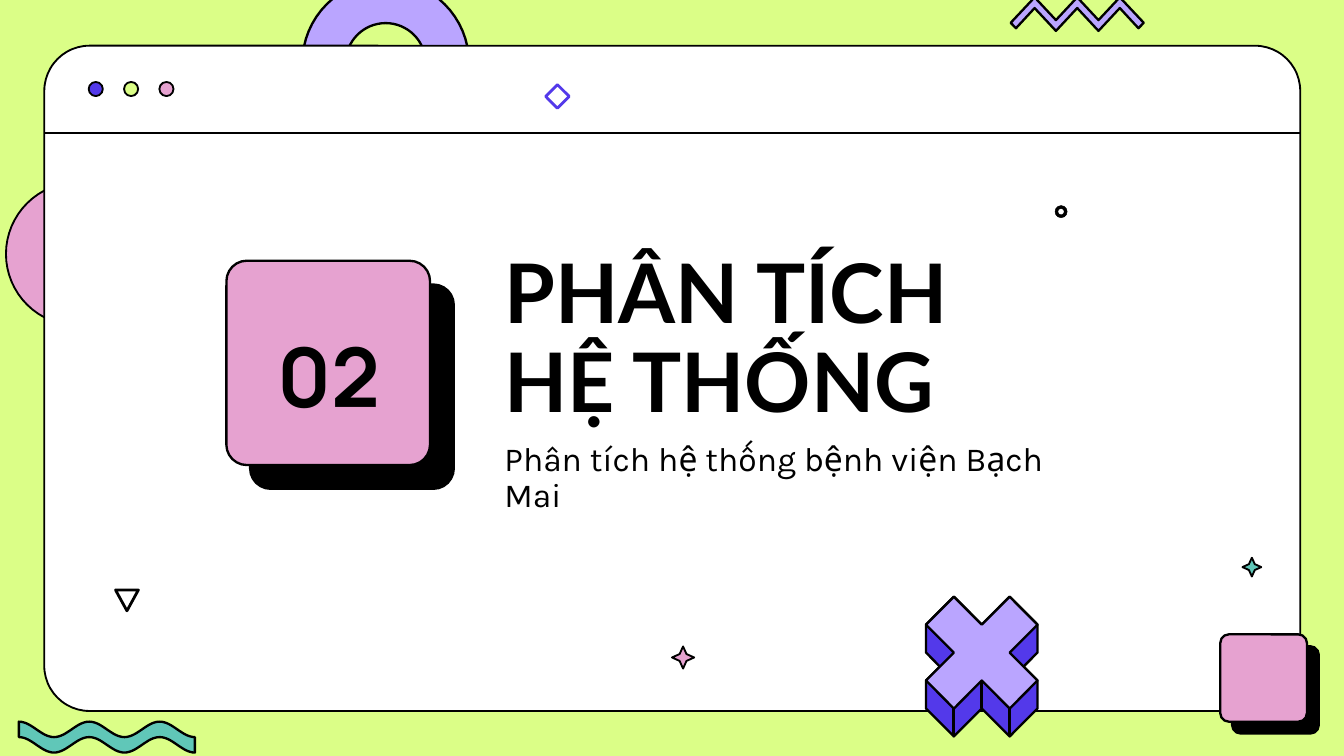
import math
from lxml import etree
from pptx import Presentation
from pptx.dml.color import RGBColor
from pptx.enum import shapes, text
from pptx.oxml import ns
from pptx.util import Inches, Pt

# The slide is a grid of square cells: 100 columns by 56.25 rows
W, H = Inches(10), Inches(5.625)
CELL = W / 100
COLORS = {
    "lime": "DBFE87", "lilac": "BAA5FF", "violet": "5339EA", "pink": "E6A2D0",
    "teal": "60C7B8", "black": "000000", "white": "FFFFFF",
}
KIND = shapes.MSO_SHAPE


def rgb(name):
    return RGBColor.from_string(COLORS[name])


def emu(*cells):
    return [round(c * CELL) for c in cells]


def within(box, x, y, w, h):
    return box[0] + x, box[1] + y, w, h


def arc(cx, cy, rx, ry, start, end, steps=32):
    angles = [math.radians(start + (end - start) * i / steps) for i in range(steps + 1)]
    return [(cx + rx * math.cos(a), cy + ry * math.sin(a)) for a in angles]


def paint(sp, fill, line="black", width=1.25):
    sp.shadow.inherit = False
    sp.fill.solid()
    sp.fill.fore_color.rgb = rgb(fill)
    sp.line.color.rgb = rgb(line)
    sp.line.width = Pt(width)
    return sp


def preset(s, kind, box, fill, line="black", width=1, adj=None):
    sp = s.shapes.add_shape(kind, *emu(*box))
    if adj is not None:
        sp.adjustments[0] = adj
    return paint(sp, fill, line, width)


def outline(s, box, points, fill, width=1.25):
    """Closed outline whose points are shares of the box."""
    x, y, w, h = box
    pts = [emu(x + px * w, y + py * h) for px, py in points]
    fb = s.shapes.build_freeform(*pts[0])
    fb.add_line_segments(pts[1:], close=True)
    return paint(fb.convert_to_shape(), fill, width=width)


def segment(s, x1, y1, x2, y2, width=1):
    c = s.shapes.add_connector(shapes.MSO_CONNECTOR.STRAIGHT, *emu(x1, y1, x2, y2))
    c.line.color.rgb = rgb("black")
    c.line.width = Pt(width)
    etree.SubElement(c._element.spPr, ns.qn("a:effectLst"))


def label(s, box, words, anchor, para, font):
    tf = s.shapes.add_textbox(*emu(*box)).text_frame
    tf.word_wrap = True
    tf.vertical_anchor = anchor
    tf.margin_top = tf.margin_bottom = Inches(0.1)
    p = tf.paragraphs[0]
    p.text = words
    for key, value in para.items():
        setattr(p, key, value)
    for r in p.runs:
        for key, value in font.items():
            setattr(r.font, key, value)
        r.font.color.rgb = rgb("black")


def tile(s, box, distance):
    """Pink rounded square with a hard diagonal shadow."""
    sp = preset(s, KIND.ROUNDED_RECTANGLE, box, "pink", width=1.25, adj=0.1)
    effects = sp._element.spPr.find(ns.qn("a:effectLst"))
    shadow = etree.SubElement(effects, ns.qn("a:outerShdw"), blurRad="0",
                              dist=str(Pt(distance)), dir="2700000",
                              algn="bl", rotWithShape="0")
    etree.SubElement(shadow, ns.qn("a:srgbClr"), val=COLORS["black"])


def ring(s, box):
    points = (arc(.5, .5, .5, .5, 180, 360) + arc(.87, .5, .13, .13, 0, 180)
              + arc(.5, .5, .24, .24, 360, 180) + arc(.13, .5, .13, .13, 0, 180))
    outline(s, box, points, "lilac")


def half_disc(s, box):
    outline(s, box, arc(1, .5, 1, .5, 90, 270), "pink", 1)


def window(s, box):
    x, y, w, h = box
    preset(s, KIND.ROUNDED_RECTANGLE, box, "white", adj=0.068)
    segment(s, x, y + 6.5, x + w, y + 6.5)
    # Title bar buttons
    for i, fill in enumerate(("violet", "lime", "pink")):
        preset(s, KIND.OVAL, within(box, 3.3 + 2.63 * i, 2.7, 1.05, 1.05), fill)


def heading(s, box):
    # Section number
    tile(s, within(box, 0, .9, 15.15, 15.2), 18)
    body = {"line_spacing": 0.9, "space_before": Pt(7.5)}
    label(s, within(box, .1, 5.9, 15.1, 7.9), "02", text.MSO_ANCHOR.MIDDLE,
          {**body, "alignment": text.PP_ALIGN.CENTER},
          {"name": "Manrope", "size": Pt(44), "bold": True})
    # Title and subtitle
    label(s, within(box, 19.7, 0, 43.3, 14.5), "PHÂN TÍCH\vHỆ THỐNG",
          text.MSO_ANCHOR.BOTTOM, {"line_spacing": 0.9},
          {"name": "Lato", "size": Pt(44), "bold": True})
    label(s, within(box, 19.7, 13.4, 43.3, 4.7), "Phân tích hệ thống bệnh viện Bạch Mai",
          text.MSO_ANCHOR.TOP, body, {"name": "Karla", "size": Pt(18)})


def small_marks(s, box):
    for kind, at, fill, line, width, adj in (
            (KIND.STAR_4_POINT, (50, 48.1, 1.65, 1.65), "pink", "black", 1, .22),
            (KIND.STAR_4_POINT, (92.45, 41.5, 1.4, 1.4), "teal", "black", 1, .22),
            (KIND.FLOWCHART_MERGE, (8.6, 43.9, 1.7, 1.55), "white", "black", 1.5, None),
            (KIND.DIAMOND, (40.6, 6.3, 1.75, 1.75), "white", "violet", 1.5, None),
            (KIND.DONUT, (78.5, 15.3, .9, .9), "black", "black", .25, .24)):
        preset(s, kind, within(box, *at), fill, line, width, adj)


def solid_cross(s, box):
    """Extruded cross on its own grid of 4 columns and 5 rows."""
    x, y, w, h = box
    front = [(3, 0), (4, 1), (3, 2), (4, 3), (3, 4), (2, 3),
             (1, 4), (0, 3), (1, 2), (0, 1), (1, 0), (2, 1)]
    right = [(3, 0), (4, 1), (4, 2), (3.5, 2.5), (4, 3), (4, 4), (3, 5)]
    body = right + [(2, 4)] + [(4 - c, r) for c, r in reversed(right)] + [(2, 1)]
    for points, fill in ((body, "violet"), (front, "lilac")):
        outline(s, box, [(c / 4, r / 5) for c, r in points], fill)
    for col, row in ((1, 4), (2, 3), (3, 4)):
        cx = x + w * col / 4
        segment(s, cx, y + h * row / 5, cx, y + h * (row + 1) / 5, 1.5)


def wave(s, box, periods=2.5, steps=80):
    crest = [(i / steps, .25 - .25 * math.cos(2 * math.pi * periods * i / steps))
             for i in range(steps + 1)]
    outline(s, box, crest + [(px, py + .5) for px, py in reversed(crest)], "teal")


def zigzag(s, box):
    left = [(.5, .68), (.34, 0), (.18, 0)]
    left = [(.5, .68), (.343, 0), (.18, .0)]
    top = [(0, .76), (.18, 0), (.34, .68), (.5, 0), (.66, .68), (.82, 0), (1, .76)]
    bottom = [(.96, .92), (.82, .32), (.66, 1), (.5, .32), (.34, 1), (.18, .32), (.04, .92)]
    outline(s, box, top + bottom, "lilac")


def main():
    prs = Presentation()
    prs.slide_width, prs.slide_height = W, H
    s = prs.slides.add_slide(prs.slide_layouts[6])
    s.background.fill.solid()
    s.background.fill.fore_color.rgb = rgb("lime")

    # Shapes behind the window, then the window
    ring(s, (22.5, -1.5, 12.4, 12.4))
    half_disc(s, (.45, 13.55, 5.4, 10.7))
    window(s, (3.3, 3.4, 93.45, 49.5))
    # Content
    heading(s, (16.85, 18.5, 63, 18.1))
    # Decorations in front
    small_marks(s, (0, 0, 100, 56.25))
    solid_cross(s, (68.9, 44.4, 8.3, 10.4))
    tile(s, (90.8, 47.2, 6.45, 6.5), 9)
    wave(s, (1.4, 53.7, 13.1, 2.3))
    zigzag(s, (75.2, -.2, 9.9, 2.5))
    prs.save("out.pptx")


if __name__ == "__main__":
    main()
